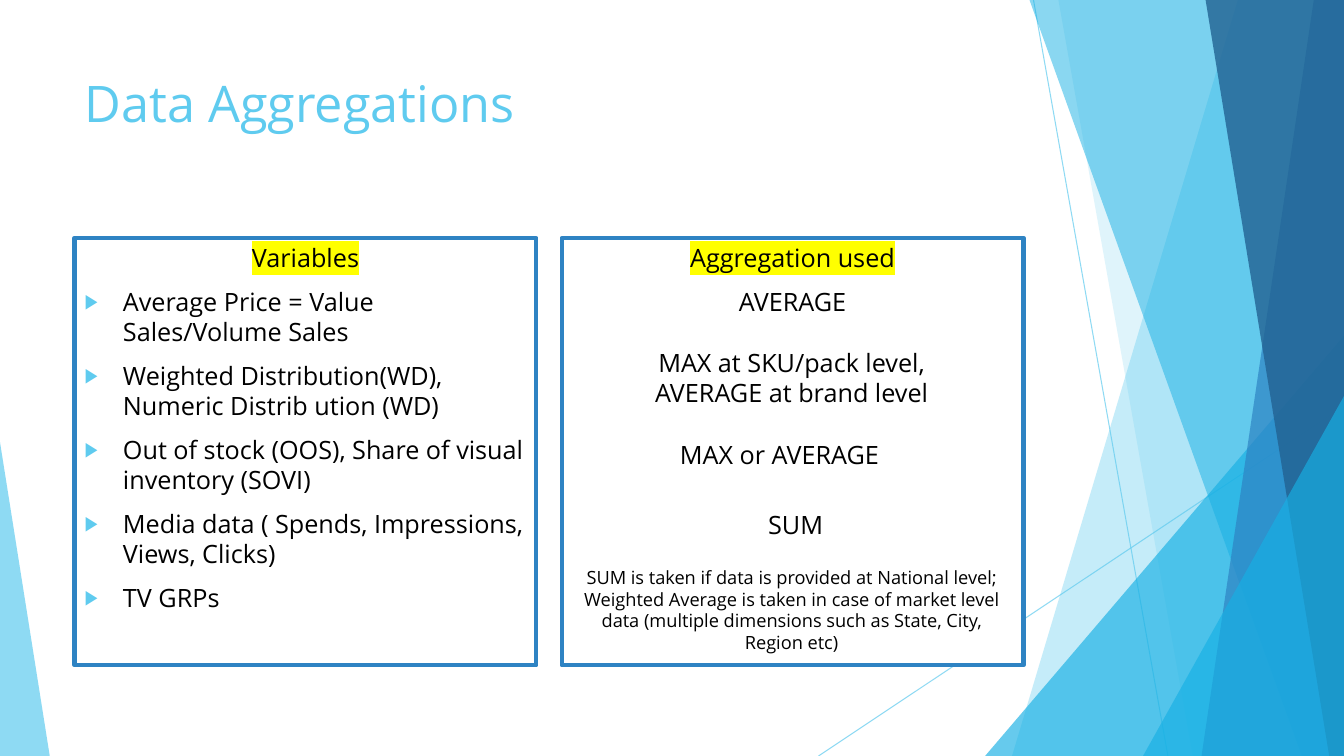
"""Build the Data Aggregations slide: two framed panels beside blue facets."""
from dataclasses import dataclass

from lxml.etree import SubElement
from pptx import Presentation
from pptx.dml.color import RGBColor
from pptx.enum.shapes import MSO_CONNECTOR, MSO_SHAPE
from pptx.enum.text import MSO_ANCHOR, MSO_AUTO_SIZE, PP_ALIGN
from pptx.oxml.ns import qn
from pptx.util import Inches, Pt


@dataclass(frozen=True)
class Theme:
    """Colours, type sizes and spacing of the slide."""
    font: str = "Open Sans"
    sky: str = "5FCBEF"
    cyan: str = "17B0E4"
    blue: str = "2E83C3"
    navy: str = "226292"
    ink: str = "000000"
    paper: str = "FFFFFF"
    marker: str = "FFFF00"
    title_size: int = 36
    body_size: int = 18
    note_size: int = 13
    leading: float = 1.19
    gap: int = 10
    indent: float = 0.38


@dataclass(frozen=True)
class Area:
    """A rectangle in percent of the slide's width and height."""
    left: float
    top: float
    width: float
    height: float


@dataclass(frozen=True)
class Ray:
    """A thin line between two points in percent."""
    start: tuple[float, float]
    end: tuple[float, float]


@dataclass(frozen=True)
class Facet:
    """A full-height band from a slanted left edge to the right margin."""
    top_left: float
    bottom_left: float
    color: str
    opacity: int


@dataclass(frozen=True)
class Wedge:
    """A right triangle standing on the bottom edge."""
    area: Area
    apex: float
    color: str
    opacity: int


@dataclass(frozen=True)
class Panel:
    """A framed list with a highlighted heading."""
    area: Area
    heading: str
    items: tuple[str, ...]
    bulleted: bool


@dataclass(frozen=True)
class Note:
    """A centred text box."""
    area: Area
    text: str
    size: int


THEME = Theme()
WIDTH, HEIGHT = Inches(13.33), Inches(7.5)

RAYS = (Ray((76.9, 0), (86.9, 100)), Ray((100, 53.7), (60.9, 100)))
BACKDROP = (
    Facet(92.1, 75.3, THEME.sky, 36),
    Facet(78.75, 88.75, THEME.sky, 20),
    Wedge(Area(73.3, 44.4, 26.7, 55.6), 1, THEME.cyan, 66),
    Facet(76.6, 96.85, THEME.cyan, 50),
    Facet(97.75, 89.4, THEME.blue, 70),
    Facet(89.7, 98.9, THEME.navy, 80),
    Wedge(Area(85.05, 52.4, 14.95, 47.6), 1, THEME.cyan, 66),
    Wedge(Area(0, 58.5, 3.7, 41.5), 0, THEME.sky, 70),
)
TITLE_AREA = Area(5.55, 8.93, 70.5, 19.2)
PANELS = (
    Panel(Area(5.55, 31.47, 34.36, 56.53), "Variables", (
        "Average Price = Value Sales/Volume Sales",
        "Weighted Distribution(WD), Numeric Distrib ution (WD)",
        "Out of stock (OOS), Share of visual inventory (SOVI)",
        "Media data ( Spends, Impressions, Views, Clicks)",
        "TV GRPs"), True),
    Panel(Area(41.79, 31.47, 34.36, 56.53), "Aggregation used", ("AVERAGE",), False),
)
NOTES = (
    Note(Area(46.5, 45.33, 24.8, 9.47),
         "MAX at SKU/pack level, AVERAGE at brand level", THEME.body_size),
    Note(Area(45.6, 66.8, 27.2, 5.33), "SUM", THEME.body_size),
    Note(Area(42.7, 74.27, 32.4, 13.07),
         "SUM is taken if data is provided at National level; Weighted Average is taken "
         "in case of market level data (multiple dimensions such as State, City, Region etc)",
         THEME.note_size),
    Note(Area(45.6, 57.47, 24.8, 5.33), "MAX or AVERAGE", THEME.body_size),
)


def across(share: float) -> int:
    """Turn a percentage of the slide's width into a length."""
    return round(WIDTH * share / 100)


def down(share: float) -> int:
    """Turn a percentage of the slide's height into a length."""
    return round(HEIGHT * share / 100)


def frame(area: Area) -> tuple[int, int, int, int]:
    """Return left, top, width and height of an area."""
    return across(area.left), down(area.top), across(area.width), down(area.height)


def place(shape, area: Area) -> None:
    """Move and size a shape to an area."""
    shape.left, shape.top, shape.width, shape.height = frame(area)


def paint(fill, color: str, opacity: int = 100) -> None:
    """Give a fill a solid colour and an opacity."""
    fill.solid()
    fill.fore_color.rgb = RGBColor.from_string(color)
    if opacity < 100:
        tint = fill._xPr.find(f"{qn('a:solidFill')}/{qn('a:srgbClr')}")
        SubElement(tint, qn("a:alpha"), val=str(opacity * 1000))


def draw_ray(page, ray: Ray) -> None:
    """Draw a thin translucent line."""
    line = page.shapes.add_connector(
        MSO_CONNECTOR.STRAIGHT, across(ray.start[0]), down(ray.start[1]),
        across(ray.end[0]), down(ray.end[1]))
    line.line.width = Pt(0.75)
    paint(line.line.fill, THEME.sky, 70)
    SubElement(line._element.spPr, qn("a:effectLst"))


def draw_backdrop(page, part: Facet | Wedge) -> None:
    """Draw one translucent facet or wedge."""
    if isinstance(part, Facet):
        builder = page.shapes.build_freeform(across(part.top_left), 0)
        builder.add_line_segments(
            [(WIDTH, 0), (WIDTH, HEIGHT), (across(part.bottom_left), HEIGHT)], close=True)
        shape = builder.convert_to_shape()
    else:
        shape = page.shapes.add_shape(MSO_SHAPE.ISOSCELES_TRIANGLE, *frame(part.area))
        shape.adjustments[0] = part.apex
    shape.shadow.inherit = False
    shape.line.fill.background()
    paint(shape.fill, part.color, part.opacity)


def set_bullet(para, bulleted: bool) -> None:
    """Give a paragraph the arrow bullet, or none."""
    props = para._p.get_or_add_pPr()
    indent = Inches(THEME.indent) if bulleted else 0
    props.set("marL", str(indent))
    props.set("indent", str(-indent))
    if bulleted:
        SubElement(SubElement(props, qn("a:buClr")), qn("a:srgbClr"), val=THEME.sky)
        SubElement(props, qn("a:buSzPct"), val="80000")
        SubElement(props, qn("a:buChar"), char="\u25b6")
    else:
        SubElement(props, qn("a:buNone"))


def style(para, size: int, color: str, align: PP_ALIGN, gap: int = 0) -> None:
    """Set the font, alignment and spacing of a paragraph."""
    para.alignment = align
    para.space_before = Pt(gap)
    para.line_spacing = Pt(round(size * THEME.leading, 1))
    para.font.name = THEME.font
    para.font.size = Pt(size)
    para.font.color.rgb = RGBColor.from_string(color)


def prepare(text_frame) -> None:
    """Make a text frame wrap, start at the top and keep its size."""
    text_frame.word_wrap = True
    text_frame.auto_size = MSO_AUTO_SIZE.NONE
    text_frame.vertical_anchor = MSO_ANCHOR.TOP


def fill_panel(box, panel: Panel) -> None:
    """Frame a body placeholder and write its heading and items."""
    place(box, panel.area)
    paint(box.fill, THEME.paper)
    paint(box.line.fill, THEME.blue)
    box.line.width = Pt(3)
    prepare(box.text_frame)
    box.text_frame.text = "\n".join((panel.heading, *panel.items))
    for index, para in enumerate(box.text_frame.paragraphs):
        bulleted = panel.bulleted and index > 0
        set_bullet(para, bulleted)
        style(para, THEME.body_size, THEME.ink,
              PP_ALIGN.LEFT if bulleted else PP_ALIGN.CENTER, THEME.gap)
    span = box.text_frame.paragraphs[0].runs[0]
    highlight = SubElement(span._r.get_or_add_rPr(), qn("a:highlight"))
    SubElement(highlight, qn("a:srgbClr"), val=THEME.marker)


def add_note(page, note: Note) -> None:
    """Add one centred text box."""
    box = page.shapes.add_textbox(*frame(note.area))
    prepare(box.text_frame)
    box.text_frame.text = note.text
    style(box.text_frame.paragraphs[0], note.size, THEME.ink, PP_ALIGN.CENTER)


def build() -> None:
    """Build and save the deck."""
    deck = Presentation()
    deck.slide_width, deck.slide_height = WIDTH, HEIGHT
    page = deck.slides.add_slide(deck.slide_layouts.get_by_name("Two Content"))
    title, *bodies = page.placeholders
    for ray in RAYS:
        draw_ray(page, ray)
    for part in BACKDROP:
        draw_backdrop(page, part)
    for box in (title, *bodies):
        page.shapes._spTree.append(box._element)
    place(title, TITLE_AREA)
    prepare(title.text_frame)
    title.text_frame.text = "Data Aggregations"
    style(title.text_frame.paragraphs[0], THEME.title_size, THEME.sky, PP_ALIGN.LEFT)
    for box, panel in zip(bodies, PANELS):
        fill_panel(box, panel)
    for note in NOTES:
        add_note(page, note)
    deck.save("out.pptx")


build()
